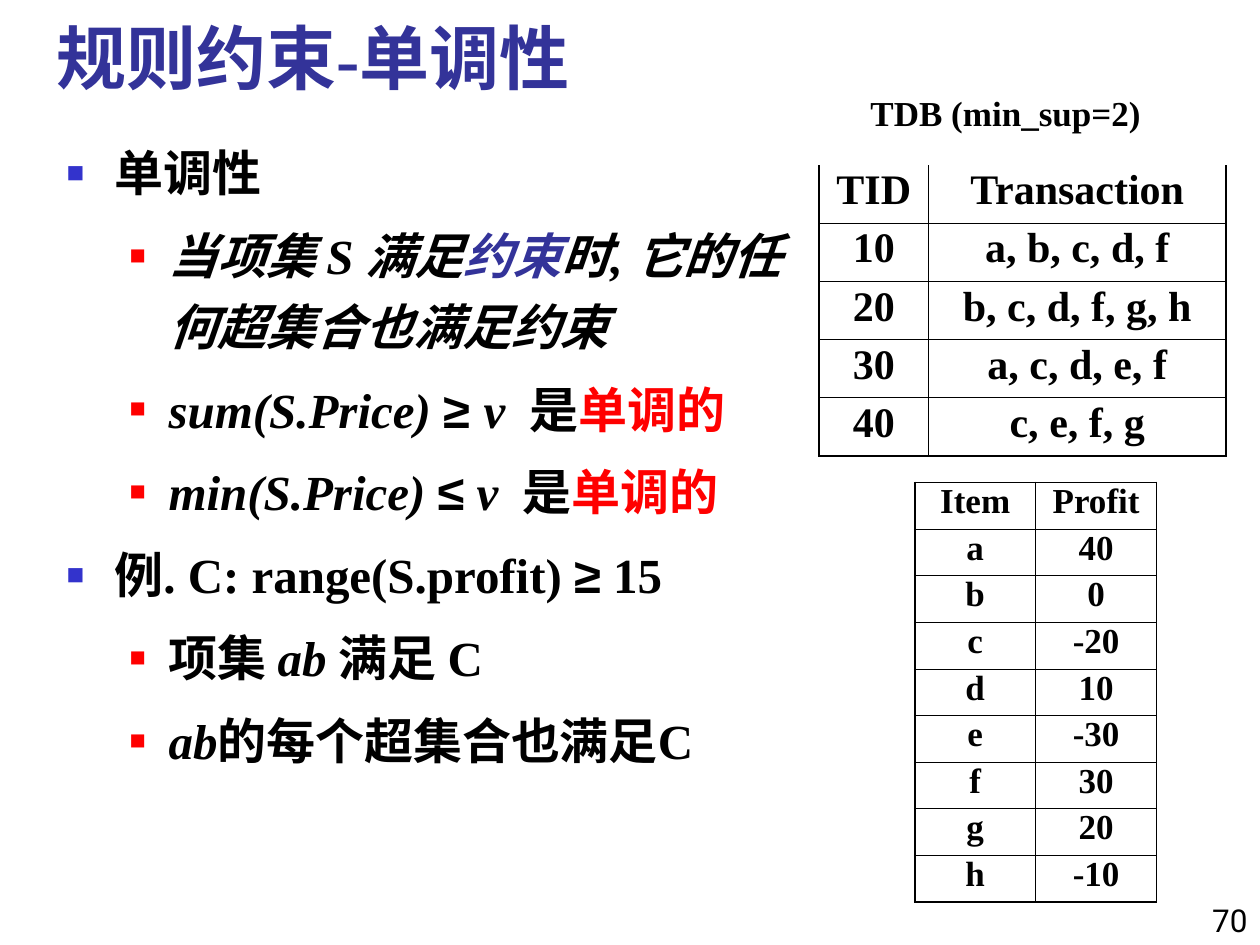
import pptx
import pptx.util
import pptx.dml.color
import pptx.enum.text
import pptx.oxml
import pptx.oxml.ns
from pptx.util import Inches

ALIGN = pptx.enum.text.PP_ALIGN
ANCHOR = pptx.enum.text.MSO_ANCHOR
FIT = pptx.enum.text.MSO_AUTO_SIZE
SERIF = "Times New Roman"
BLACK, NAVY, BLUE, RED = "000000", "333399", "3333CC", "FF0000"
THIN, THICK = 0.45, 1.08


def color(hex_value):
    return pptx.dml.color.RGBColor.from_string(hex_value)


def element(xml):
    tag, rest = xml.split(" ", 1)
    return pptx.oxml.parse_xml(f"<a:{tag} {pptx.oxml.ns.nsdecls('a')} {rest}")


def style(font, size, name=SERIF, fill=BLACK, bold=True):
    font.size = pptx.util.Pt(size)
    font.name = name
    font.bold = bold
    font.color.rgb = color(fill)


def add_frame(slide, box, anchor=ANCHOR.TOP, wrap=True):
    frame = slide.shapes.add_textbox(*map(Inches, box)).text_frame
    frame.word_wrap = wrap
    frame.auto_size = FIT.NONE if wrap else FIT.SHAPE_TO_FIT_TEXT
    frame.vertical_anchor = anchor
    return frame


def add_line(slide, box, text, size, align=ALIGN.LEFT, anchor=ANCHOR.TOP, wrap=True, **look):
    paragraph = add_frame(slide, box, anchor, wrap).paragraphs[0]
    paragraph.text = text
    paragraph.alignment = align
    style(paragraph.font, size, **look)


def set_bullet(paragraph, level):
    margin, hanging, fill, percent = [(0.38, 0.38, BLUE, 60), (0.81, 0.31, RED, 55)][level]
    properties = paragraph._p.get_or_add_pPr()
    properties.set("marL", str(Inches(margin)))
    properties.set("indent", str(-Inches(hanging)))
    for xml in (
        f'buClr ><a:srgbClr val="{fill}"/></a:buClr>',
        f'buSzPct val="{percent * 1000}"/>',
        'buFont typeface="Arial"/>',
        'buChar char="■"/>',
    ):
        properties.append(element(xml))


def add_outline(slide, box, points):
    frame = add_frame(slide, box)
    for index, (level, runs) in enumerate(points):
        paragraph = frame.add_paragraph() if index else frame.paragraphs[0]
        paragraph.level = level
        paragraph.line_spacing = 1.2
        if index:
            paragraph.space_before = pptx.util.Pt(7)
        set_bullet(paragraph, level)
        style(paragraph.font, 28)
        for text, look in runs:
            run = paragraph.add_run()
            run.text = text
            if "italic" in look:
                run.font.italic = True
            if "name" in look:
                run.font.name = look["name"]
            if "fill" in look:
                run.font.color.rgb = color(look["fill"])


def set_borders(cell, widths):
    properties = cell._tc.get_or_add_tcPr()
    for index, (side, width) in enumerate(zip("LRTB", widths)):
        paint = f'<a:solidFill><a:srgbClr val="{BLACK}"/></a:solidFill>' if width else "<a:noFill/>"
        border = element(f'ln{side} w="{pptx.util.Pt(width)}">{paint}</a:ln{side}>')
        properties.insert(index, border)


def add_grid(slide, box, column_widths, rows, size, line_spacing, top_border):
    last_row, last_column = len(rows) - 1, len(column_widths) - 1
    grid = slide.shapes.add_table(len(rows), len(column_widths), *map(Inches, box)).table
    grid.first_row = grid.horz_banding = False
    for column, width in zip(grid.columns, column_widths):
        column.width = Inches(width)
    for r, values in enumerate(rows):
        for c, value in enumerate(values):
            cell = grid.cell(r, c)
            cell.fill.background()
            set_borders(cell, (
                THIN if c else THICK,
                THICK if c == last_column else THIN,
                THIN if r else top_border,
                THICK if r == last_row else THIN,
            ))
            paragraph = cell.text_frame.paragraphs[0]
            paragraph.text = value
            paragraph.alignment = ALIGN.CENTER
            paragraph.line_spacing = line_spacing
            style(paragraph.font, size)


def main():
    presentation = pptx.Presentation()
    presentation.slide_width, presentation.slide_height = Inches(10), Inches(7.5)
    slide = presentation.slides.add_slide(presentation.slide_layouts[6])

    italic, red, sans = {"italic": True}, {"fill": RED}, {"name": "Arial"}
    points = [
        (0, [("单调性", {})]),
        (1, [("当项集 S 满足", italic), ("约束", {"italic": True, "fill": NAVY}),
             ("时, 它的任何超集合也满足约束", italic)]),
        (1, [("sum(S.Price) ", italic), ("≥ ", sans), ("v  ", italic), ("是", {}), ("单调的", red)]),
        (1, [("min(S.Price) ", italic), ("≤", sans), (" v  ", italic), ("是", {}), ("单调的", red)]),
        (0, [("例. C: range(S.profit) ", {}), ("≥", sans), (" 15", {})]),
        (1, [("项集 ", {}), ("ab ", italic), ("满足 C", {})]),
        (1, [("ab", italic), ("的每个超集合也满足C", {})]),
    ]
    transactions = [
        ("TID", "Transaction"), ("10", "a, b, c, d, f"), ("20", "b, c, d, f, g, h"),
        ("30", "a, c, d, e, f"), ("40", "c, e, f, g"),
    ]
    profits = [
        ("Item", "Profit"), ("a", "40"), ("b", "0"), ("c", "-20"), ("d", "10"),
        ("e", "-30"), ("f", "30"), ("g", "20"), ("h", "-10"),
    ]

    add_line(slide, (0.35, 0, 8.67, 0.83), "规则约束-单调性", 40, anchor=ANCHOR.BOTTOM, fill=NAVY)
    add_outline(slide, (0.43, 0.99, 5.9, 6.09), points)
    add_grid(slide, (6.5, 1.31, 3.23, 2.31), (0.87, 2.36), transactions, 24, 0.9, 0)
    add_line(slide, (6.81, 0.68, 2.36, 0.44), "TDB (min_sup=2)", 20, wrap=False)
    add_grid(slide, (7.26, 3.83, 1.92, 3.33), (0.96, 0.96), profits, 20, 0.8, THICK)
    add_line(slide, (7.92, 7.08, 2.08, 0.42), "70", 18, align=ALIGN.RIGHT,
             anchor=ANCHOR.BOTTOM, name="Roboto", bold=False)
    presentation.save("out.pptx")


if __name__ == "__main__":
    main()
